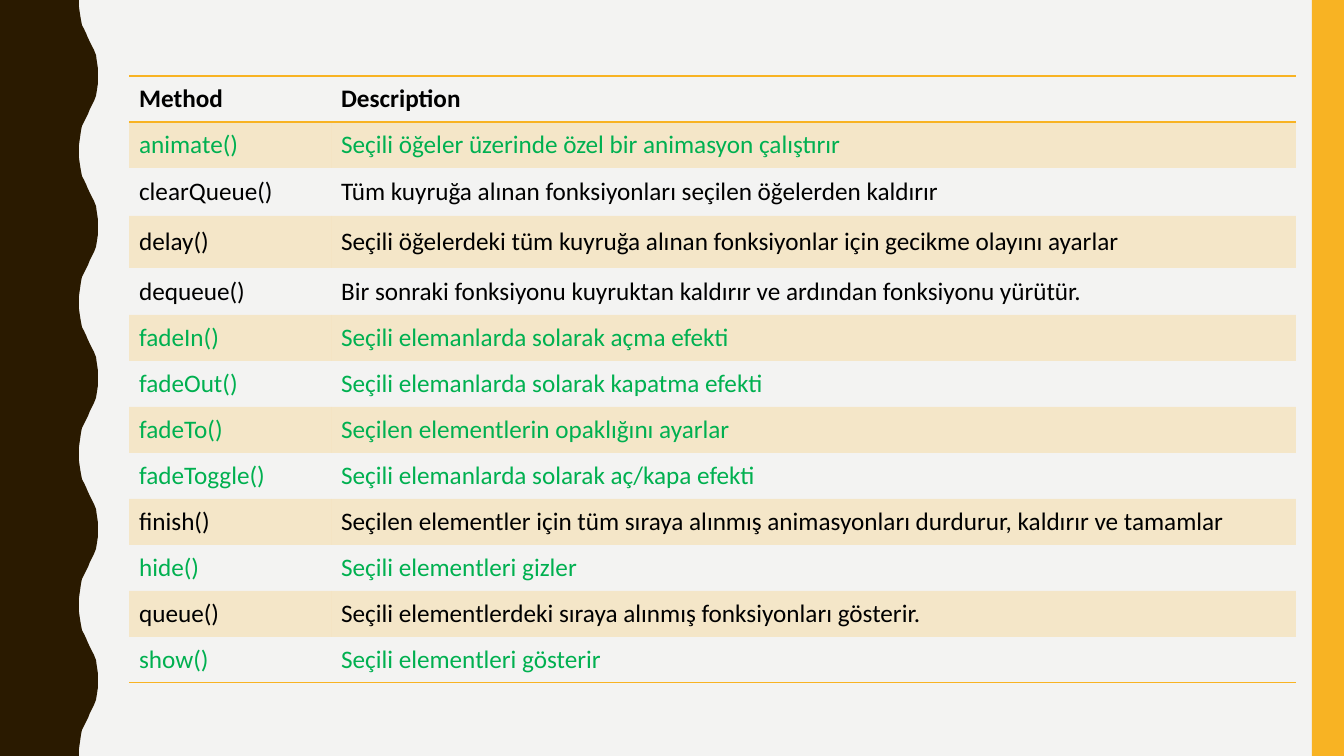
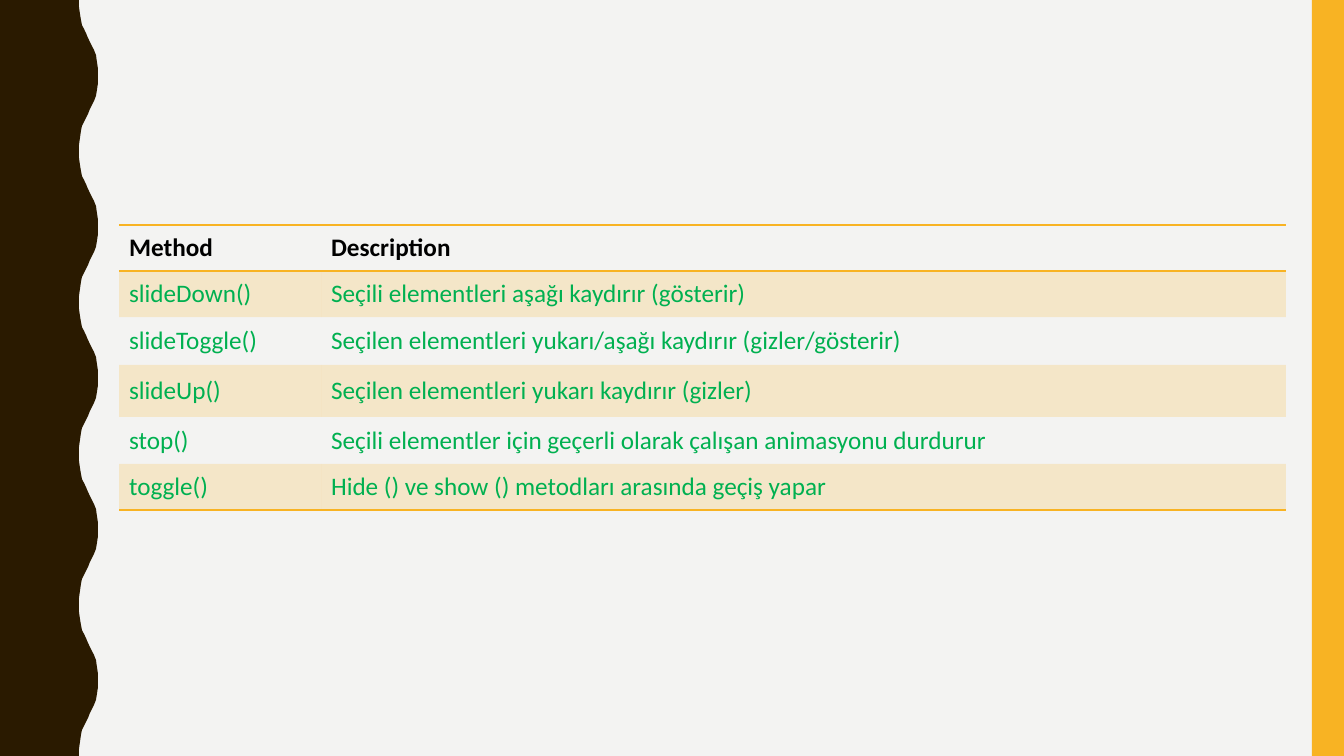
from dataclasses import dataclass

from lxml.etree import SubElement
from pptx import Presentation
from pptx.dml.color import RGBColor
from pptx.enum.shapes import MSO_SHAPE
from pptx.enum.text import MSO_VERTICAL_ANCHOR as ANCHOR
from pptx.oxml.ns import qn
from pptx.presentation import Presentation as Deck
from pptx.shapes.autoshape import Shape
from pptx.slide import Slide
from pptx.table import _Cell as Cell
from pptx.util import Emu, Pt

SLIDE_W, SLIDE_H = 1344, 756
EMU_PER_PX = 12192000 / SLIDE_W

PAPER = RGBColor(0xF3, 0xF3, 0xF2)
BROWN = RGBColor(0x2A, 0x1A, 0x00)
GOLD = RGBColor(0xF8, 0xB3, 0x23)
GREEN = RGBColor(0x00, 0xB0, 0x50)
BLACK = RGBColor(0x00, 0x00, 0x00)

FONT = "Calibri"
TEXT_SIZE = Pt(18)
RULE_WIDTH = Pt(1)
BAND_ALPHA = 20000
PLAIN_STYLE = "{2D5ABB26-0587-4C30-8999-92F81FD0307C}"

HALF_WAVES = 10
WAVE_X = (79, 79, 80, 81, 82, 84, 86, 88, 90, 92, 94, 96, 97, 98, 98)
WAVE_Y = (0, 7, 14, 20, 25, 29, 33, 38, 42, 46, 50, 55, 62, 69, 76)

BAND_X = 1312
COL_WIDTHS = (202, 965)
ROW_H = 46
TALL_ROWS = {2: 48, 3: 52, 4: 47}


@dataclass(frozen=True)
class Method:
    name: str
    description: str
    color: RGBColor = GREEN
    bold: bool = False


@dataclass(frozen=True)
class MethodTable:
    left: int
    top: int
    methods: tuple[Method, ...]


HEADER = Method("Method", "Description", BLACK, True)

TABLES = (
    MethodTable(129, 76, (
        Method("animate()", "Seçili öğeler üzerinde özel bir animasyon çalıştırır"),
        Method("clearQueue()", "Tüm kuyruğa alınan fonksiyonları seçilen öğelerden kaldırır", BLACK),
        Method("delay()", "Seçili öğelerdeki tüm kuyruğa alınan fonksiyonlar için gecikme olayını ayarlar", BLACK),
        Method("dequeue()", "Bir sonraki fonksiyonu kuyruktan kaldırır ve ardından fonksiyonu yürütür.", BLACK),
        Method("fadeIn()", "Seçili elemanlarda solarak açma efekti"),
        Method("fadeOut()", "Seçili elemanlarda solarak kapatma efekti"),
        Method("fadeTo()", "Seçilen elementlerin opaklığını ayarlar"),
        Method("fadeToggle()", "Seçili elemanlarda solarak aç/kapa efekti"),
        Method("finish()", "Seçilen elementler için tüm sıraya alınmış animasyonları durdurur, kaldırır ve tamamlar", BLACK),
        Method("hide()", "Seçili elementleri gizler"),
        Method("queue()", "Seçili elementlerdeki sıraya alınmış fonksiyonları gösterir.", BLACK),
        Method("show()", "Seçili elementleri gösterir"),
    )),
    MethodTable(119, 225, (
        Method("slideDown()", "Seçili elementleri aşağı kaydırır (gösterir)"),
        Method("slideToggle()", "Seçilen elementleri yukarı/aşağı kaydırır (gizler/gösterir)"),
        Method("slideUp()", "Seçilen elementleri yukarı kaydırır (gizler)"),
        Method("stop()", "Seçili elementler için geçerli olarak çalışan animasyonu durdurur"),
        Method("toggle()", "Hide () ve show () metodları arasında geçiş yapar"),
    )),
)


def px(n: float) -> Emu:
    return Emu(round(n * EMU_PER_PX))


def wave_points() -> list[tuple[int, int]]:
    points = [(WAVE_X[0], 0)]
    for half in range(HALF_WAVES):
        xs = WAVE_X if half % 2 == 0 else WAVE_X[::-1]
        top = half * SLIDE_H / HALF_WAVES
        points += [(x, min(round(top + y), SLIDE_H)) for x, y in zip(xs[1:], WAVE_Y[1:])]
    return points


def paint(s: Shape, color: RGBColor) -> None:
    s.shadow.inherit = False
    s.fill.solid()
    s.fill.fore_color.rgb = color
    s.line.fill.background()


def decorate_master(prs: Deck, slide: Slide) -> None:
    master = prs.slide_master
    master.background.fill.solid()
    master.background.fill.fore_color.rgb = PAPER
    builder = slide.shapes.build_freeform(0, 0, EMU_PER_PX)
    builder.add_line_segments([*wave_points(), (0, SLIDE_H)], close=True)
    wave = builder.convert_to_shape()
    band = slide.shapes.add_shape(
        MSO_SHAPE.RECTANGLE, px(BAND_X), 0, px(SLIDE_W - BAND_X), px(SLIDE_H))
    for s, color in ((wave, BROWN), (band, GOLD)):
        paint(s, color)
        master.shapes.element.append(s.element)


def add_rule(cell: Cell, side: str) -> None:
    ln = SubElement(cell._tc.get_or_add_tcPr(), qn(f"a:{side}"), w=str(RULE_WIDTH))
    fill = SubElement(ln, qn("a:solidFill"))
    SubElement(fill, qn("a:srgbClr"), val=str(GOLD))


def fill_cell(cell: Cell, banded: bool) -> None:
    if not banded:
        cell.fill.background()
        return
    cell.fill.solid()
    cell.fill.fore_color.rgb = GOLD
    for color in cell._tc.tcPr.findall(f"{qn('a:solidFill')}/{qn('a:srgbClr')}"):
        SubElement(color, qn("a:alpha"), val=str(BAND_ALPHA))


def write_cell(cell: Cell, text: str, method: Method) -> None:
    cell.vertical_anchor = ANCHOR.MIDDLE
    cell.text_frame.text = text
    font = cell.text_frame.paragraphs[0].runs[0].font
    font.name, font.size = FONT, TEXT_SIZE
    font.bold = method.bold
    font.color.rgb = method.color


def add_method_table(slide: Slide, spec_table: MethodTable) -> None:
    rows = (HEADER, *spec_table.methods)
    heights = [TALL_ROWS.get(i, ROW_H) for i in range(len(rows))]
    frame = slide.shapes.add_table(
        len(rows), len(COL_WIDTHS), px(spec_table.left), px(spec_table.top),
        px(sum(COL_WIDTHS)), px(sum(heights)))
    for style in frame.element.iter(qn("a:tableStyleId")):
        style.text = PLAIN_STYLE
    table = frame.table
    for column, width in zip(table.columns, COL_WIDTHS):
        column.width = px(width)
    for i, (method, height) in enumerate(zip(rows, heights)):
        table.rows[i].height = px(height)
        for j, text in enumerate((method.name, method.description)):
            cell = table.cell(i, j)
            write_cell(cell, text, method)
            if i == 0:
                add_rule(cell, "lnT")
            if i in (0, len(rows) - 1):
                add_rule(cell, "lnB")
            fill_cell(cell, i % 2 == 1)


def main() -> None:
    prs = Presentation()
    prs.slide_width, prs.slide_height = px(SLIDE_W), px(SLIDE_H)
    blank = prs.slide_layouts[6]
    slides = [prs.slides.add_slide(blank) for _ in TABLES]
    decorate_master(prs, slides[0])
    for slide, method_table in zip(slides, TABLES):
        add_method_table(slide, method_table)
    prs.save("out.pptx")


main()
